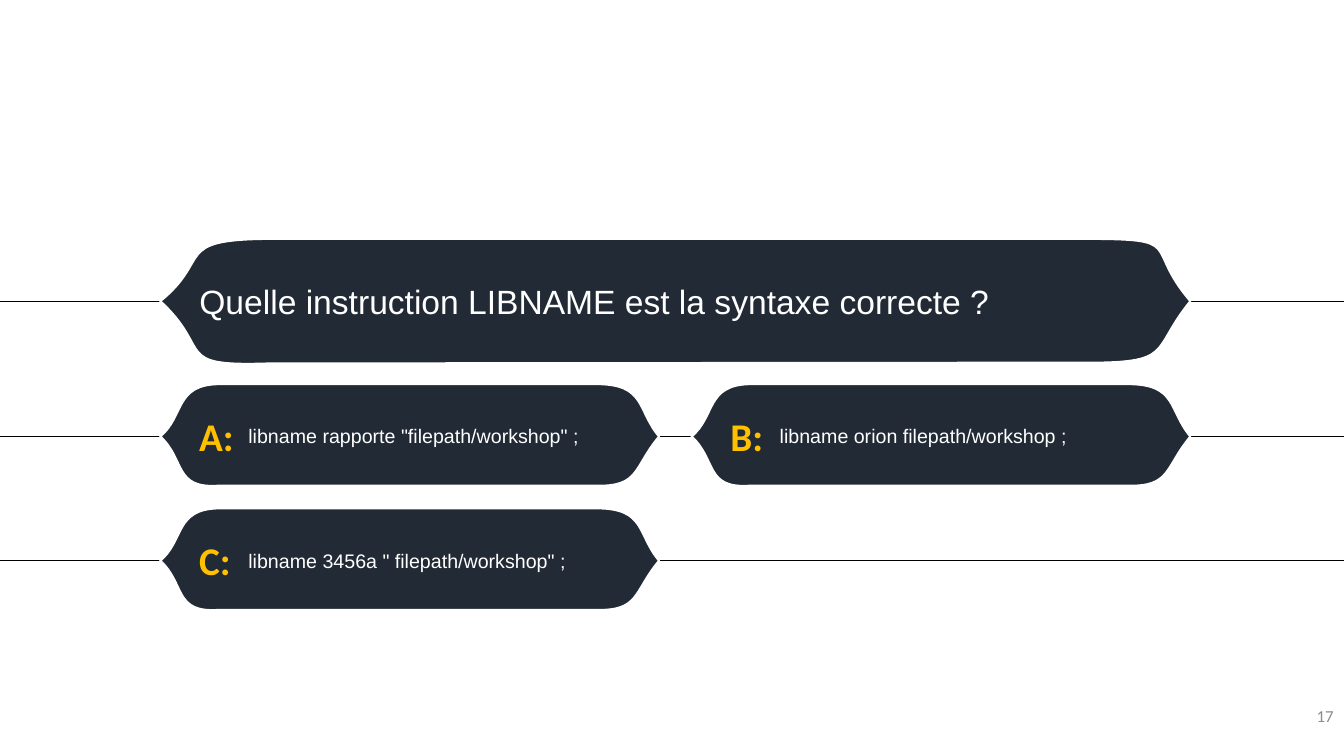
from pptx import Presentation
from pptx.dml.color import RGBColor
from pptx.enum.shapes import MSO_CONNECTOR, MSO_SHAPE
from pptx.enum.text import MSO_ANCHOR, MSO_AUTO_SIZE, PP_ALIGN
from pptx.oxml.ns import qn
from pptx.util import Cm, Pt
from lxml import etree

STRAIGHT = MSO_CONNECTOR.STRAIGHT
RECTANGLE = MSO_SHAPE.RECTANGLE
TOP, MIDDLE = MSO_ANCHOR.TOP, MSO_ANCHOR.MIDDLE
LEFT, RIGHT = PP_ALIGN.LEFT, PP_ALIGN.RIGHT
NO_FIT, GROW = MSO_AUTO_SIZE.NONE, MSO_AUTO_SIZE.SHAPE_TO_FIT_TEXT

COLORS = {
    "panel": "222A35",
    "white": "FFFFFF",
    "letter": "FFC000",
    "rule": "000000",
    "number": "8C8C8C",
}
SLIDE_WIDTH, SLIDE_HEIGHT = 33.87, 19.05
LEFT_COLUMN, RIGHT_COLUMN = 4.04, 17.43
QUESTION_ROW, FIRST_ROW, SECOND_ROW = 7.59, 11, 14.13

QUESTION = "Quelle instruction LIBNAME est la syntaxe correcte ?"
ANSWERS = [
    ("A:", 'libname rapporte "filepath/workshop" ;', LEFT_COLUMN, FIRST_ROW, True),
    ("B:", "libname orion filepath/workshop ;", RIGHT_COLUMN, FIRST_ROW, False),
    ("C:", 'libname 3456a " filepath/workshop" ;', LEFT_COLUMN, SECOND_ROW, False),
]

QUESTION_CURVES = [
    [(0, 0), (1.32, -1.07), (0.3, -1.55), (2.72, -1.57)],
    [(23.24, -1.57), (25.91, -1.57), (24.74, -1.42), (25.96, 0)],
    [(25.96, 0), (24.92, 1.27), (25.6, 1.57), (23.19, 1.55)],
    [(2.72, 1.57), (0.28, 1.65), (1.35, 1.24), (0, 0)],
]
ANSWER_CURVES = [
    [(0, 0), (0.61, -0.51), (0.36, -1.3), (1.47, -1.32)],
    [(11, -1.32), (12.24, -1.32), (12.01, -0.66), (12.57, 0)],
    [(12.57, 0), (11.91, 0.79), (12.09, 1.27), (10.97, 1.24)],
    [(1.47, 1.24), (0.33, 1.32), (0.64, 0.58), (0, 0)],
]


def color(name):
    return RGBColor.from_string(COLORS[name])


def fill_panel(shape):
    shape.shadow.inherit = False
    shape.fill.solid()
    shape.fill.fore_color.rgb = color("panel")


def bend(corners):
    curve = etree.Element(qn("a:cubicBezTo"))
    corners[0].addprevious(curve)
    for corner in corners:
        curve.append(corner[0])
        corner.getparent().remove(corner)


def add_panel(slide, curves, left, middle):
    outline, curve_starts = [curves[0][0]], []
    for start, *rest in curves:
        if start != outline[-1]:
            outline.append(start)
        curve_starts.append(len(outline) - 1)
        outline.extend(rest)
    points = [(Cm(left + x), Cm(middle + y)) for x, y in outline]
    builder = slide.shapes.build_freeform(*points[0])
    builder.add_line_segments(points[1:], close=True)
    panel = builder.convert_to_shape()
    corners = list(panel.element.iter(qn("a:lnTo")))
    for start in curve_starts:
        bend(corners[start:start + 3])
    fill_panel(panel)
    panel.line.color.rgb = color("white")
    panel.line.width = Pt(1.5)


def add_rule(slide, middle):
    rule = slide.shapes.add_connector(
        STRAIGHT, 0, Cm(middle), Cm(SLIDE_WIDTH), Cm(middle))
    rule.line.color.rgb = color("rule")
    rule.line.width = Pt(0.5)
    etree.SubElement(rule.element.spPr, qn("a:effectLst"))


def write(holder, text, size, font_name, color_name,
          bold=False, align=LEFT, anchor=MIDDLE, wrap=True, fit=NO_FIT):
    frame = holder.text_frame
    frame.text = text
    frame.word_wrap = wrap
    frame.auto_size = fit
    frame.vertical_anchor = anchor
    paragraph = frame.paragraphs[0]
    paragraph.alignment = align
    font = paragraph.runs[0].font
    font.name = font_name
    font.size = Pt(size)
    font.bold = bold
    font.color.rgb = color(color_name)


def add_label(slide, box, *args, **kwargs):
    label = slide.shapes.add_textbox(*map(Cm, box))
    write(label, *args, **kwargs)


def add_question(slide):
    add_panel(slide, QUESTION_CURVES, LEFT_COLUMN, QUESTION_ROW)
    title = slide.shapes.title
    title.left, title.top = Cm(4.77), Cm(6.3)
    title.width, title.height = Cm(24.56), Cm(2.59)
    write(title, QUESTION, 24, "Arial", "white")
    title.element.getparent().append(title.element)


def add_letter(slide, letter, left, middle, filled):
    box = [Cm(length) for length in (left + 0.73, middle - 0.74, 1.42, 1.45)]
    if filled:
        holder = slide.shapes.add_shape(RECTANGLE, *box)
        fill_panel(holder)
        holder.line.fill.background()
    else:
        holder = slide.shapes.add_textbox(*box)
    write(holder, letter, 28, "Calibri", "letter",
          bold=True, anchor=TOP, wrap=False, fit=GROW)


def add_answer(slide, letter, statement, left, middle, filled):
    add_panel(slide, ANSWER_CURVES, left, middle)
    add_letter(slide, letter, left, middle, filled)
    add_label(slide, (left + 1.97, middle - 1.28, 9.4, 2.54), statement,
              14, "Arial", "white")


def main():
    presentation = Presentation()
    presentation.slide_width = Cm(SLIDE_WIDTH)
    presentation.slide_height = Cm(SLIDE_HEIGHT)
    slide = presentation.slides.add_slide(presentation.slide_layouts[5])
    for middle in (QUESTION_ROW, FIRST_ROW, SECOND_ROW):
        add_rule(slide, middle)
    add_question(slide)
    for answer in ANSWERS:
        add_answer(slide, *answer)
    add_label(slide, (26.24, 17.65, 7.62, 1.02), "17", 12, "Calibri",
              "number", align=RIGHT, anchor=TOP)
    presentation.save("out.pptx")


if __name__ == "__main__":
    main()
